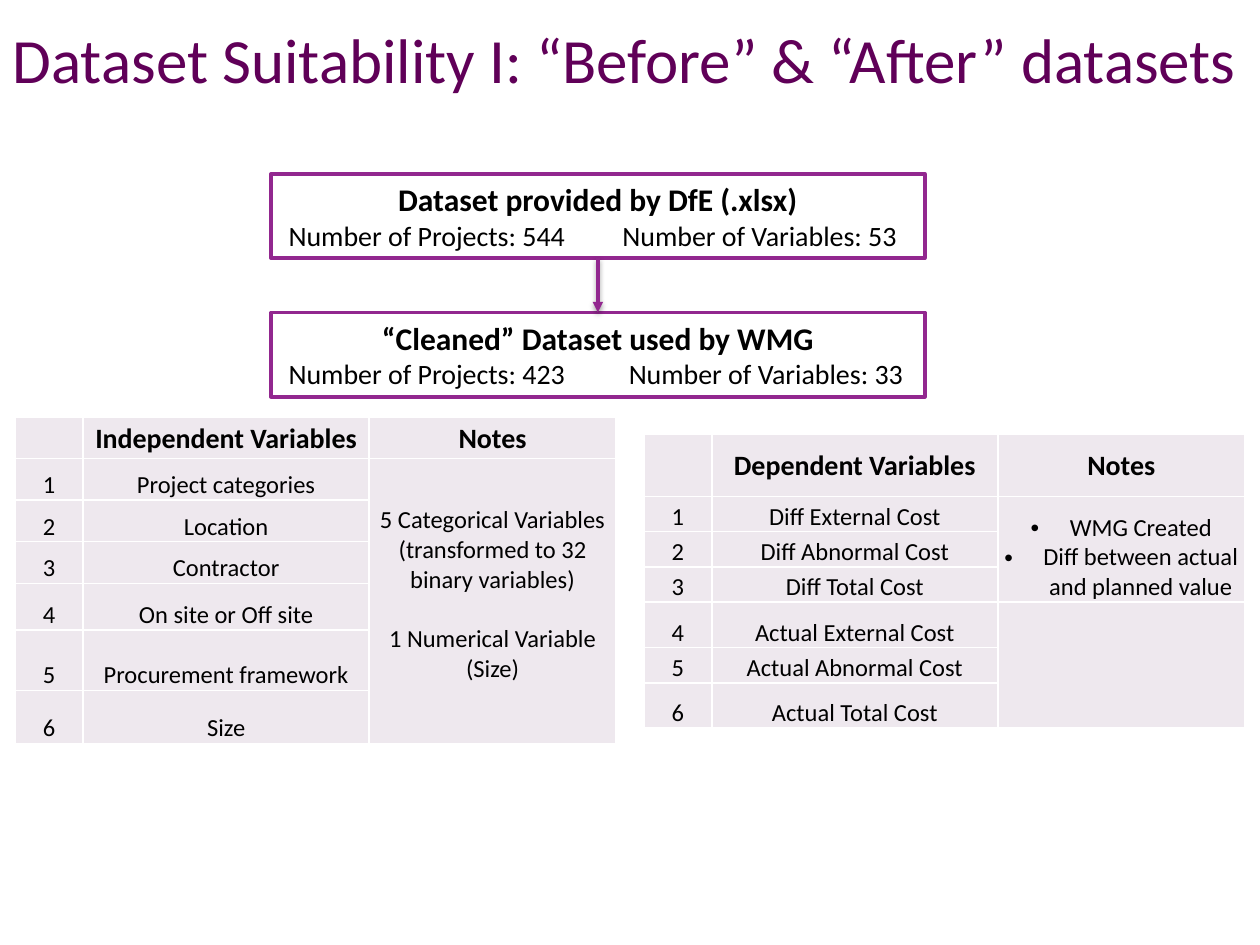
from lxml import etree
from pptx import Presentation, util as u
from pptx.dml.color import RGBColor
from pptx.enum import shapes, text
from pptx.oxml import parse_xml
from pptx.oxml.ns import nsdecls, qn

FONT, BLACK, WHITE, PURPLE, PALE = "Calibri", "000000", "FFFFFF", "92278F", "EEE8EE"
TITLE = "Dataset Suitability I: “Before” & “After” datasets"
DATASETS = [
    ("Dataset provided by DfE (.xlsx)", "Number of Projects: 544", "Number of Variables: 53", 2.65),
    ("“Cleaned” Dataset used by WMG", "Number of Projects: 423", "Number of Variables: 33", 2.7),
]
BOX_LEFT, BOX_TOP, BOX_W, BOX_H, BOX_STEP = 2.15, 1.38, 5.19, 0.67, 1.1
COLUMNS = [0.54, 2.27, 1.96]
TABLES = [
    {
        "at": (0.12, 3.31),
        "rows": [0.33, 0.33, 0.33, 0.33, 0.37, 0.48, 0.42],
        "head": "Independent Variables",
        "names": ["Project categories", "Location", "Contractor", "On site or Off site",
                  "Procurement framework", "Size"],
        "notes": [
            {"span": (1, 6), "anchor": text.MSO_ANCHOR.MIDDLE, "bottom": 0.1, "bullets": False,
             "lines": [("5 Categorical Variables", 0), ("(transformed to 32 binary variables)", 0),
                       ("1 Numerical Variable", 17), ("(Size)", 0)]},
        ],
    },
    {
        "at": (5.11, 3.45),
        "rows": [0.49, 0.28, 0.28, 0.28, 0.36, 0.28, 0.36],
        "head": "Dependent Variables",
        "names": ["Diff External Cost", "Diff Abnormal Cost", "Diff Total Cost",
                  "Actual External Cost", "Actual Abnormal Cost", "Actual Total Cost"],
        "notes": [
            {"span": (1, 3), "anchor": text.MSO_ANCHOR.BOTTOM, "bottom": 0, "bullets": True,
             "lines": [("WMG Created", 0), ("Diff between actual and planned value", 0)]},
            {"span": (4, 6), "anchor": text.MSO_ANCHOR.BOTTOM, "bottom": 0, "bullets": False,
             "lines": []},
        ],
    },
]


def rgb(value):
    return RGBColor.from_string(value)


def add_run(p, words, size, bold=False, color=BLACK):
    r = p.add_run()
    r.text = words
    r.font.name, r.font.size, r.font.bold = FONT, u.Pt(size), bold
    r.font.color.rgb = rgb(color)


def add_title(s):
    sp = s.shapes.title
    sp.left, sp.top, sp.width, sp.height = map(u.Inches, (0, 0.11, 10.66, 0.71))
    tf = sp.text_frame
    tf.word_wrap = True
    tf.auto_size = text.MSO_AUTO_SIZE.SHAPE_TO_FIT_TEXT
    tf.vertical_anchor = text.MSO_ANCHOR.TOP
    p = tf.paragraphs[0]
    p.alignment = text.PP_ALIGN.LEFT
    add_run(p, TITLE, 36, color="600058")


def add_dataset(s, index, heading, projects, variables, tab):
    top = BOX_TOP + index * BOX_STEP
    sp = s.shapes.add_shape(shapes.MSO_SHAPE.RECTANGLE,
                            *map(u.Inches, (BOX_LEFT, top, BOX_W, BOX_H)))
    sp.shadow.inherit = False
    sp.fill.solid()
    sp.fill.fore_color.rgb = rgb(WHITE)
    sp.line.color.rgb = rgb(PURPLE)
    sp.line.width = u.Pt(2)
    tf = sp.text_frame
    tf.word_wrap = True
    tf.margin_left = tf.margin_right = u.Inches(0.14)
    p = tf.paragraphs[0]
    p.alignment = text.PP_ALIGN.CENTER
    add_run(p, heading, 18, True)
    p = tf.add_paragraph()
    p.alignment = text.PP_ALIGN.LEFT
    tabs = etree.SubElement(p._p.get_or_add_pPr(), qn("a:tabLst"))
    etree.SubElement(tabs, qn("a:tab"), pos=str(u.Inches(tab)), algn="l")
    add_run(p, projects + "\t", 16)
    add_run(p, variables, 16)
    return sp


def join(s, upper, lower):
    line = s.shapes.add_connector(shapes.MSO_CONNECTOR.STRAIGHT, 0, 0, 0, 0)
    line.begin_connect(upper, 2)
    line.end_connect(lower, 0)
    line.line.color.rgb = rgb(PURPLE)
    line.line.width = u.Pt(2)
    etree.SubElement(line.line._get_or_add_ln(), qn("a:tailEnd"), type="triangle")
    line._element.spPr.append(parse_xml(
        f'<a:effectLst {nsdecls("a")}><a:outerShdw blurRad="{u.Pt(3.1)}" dist="{u.Pt(1.6)}" '
        f'dir="5400000" rotWithShape="0"><a:srgbClr val="{BLACK}"><a:alpha val="38000"/>'
        '</a:srgbClr></a:outerShdw></a:effectLst>'))


def style_cell(cell, header):
    edge = u.Inches(0.01 if header else 0)
    cell.margin_left = cell.margin_right = cell.margin_top = edge
    cell.margin_bottom = 0
    cell.vertical_anchor = text.MSO_ANCHOR.MIDDLE if header else text.MSO_ANCHOR.BOTTOM
    for side in "LRTB":
        cell._tc.get_or_add_tcPr().append(parse_xml(
            f'<a:ln{side} {nsdecls("a")} w="{u.Pt(1)}"><a:solidFill>'
            f'<a:srgbClr val="{WHITE}"/></a:solidFill></a:ln{side}>'))
    cell.fill.solid()
    cell.fill.fore_color.rgb = rgb(PALE)
    p = cell.text_frame.paragraphs[0]
    p.alignment = text.PP_ALIGN.CENTER
    etree.SubElement(p._p, qn("a:endParaRPr"), sz="1400")


def add_note(table, note):
    first, last = note["span"]
    cell = table.cell(first, 2)
    cell.merge(table.cell(last, 2))
    cell.vertical_anchor = note["anchor"]
    cell.margin_bottom = u.Inches(note["bottom"])
    tf = cell.text_frame
    for i, (words, before) in enumerate(note["lines"]):
        p = tf.add_paragraph() if i else tf.paragraphs[0]
        p.alignment = text.PP_ALIGN.CENTER
        p.space_before = u.Pt(before)
        if note["bullets"]:
            pPr = p._p.get_or_add_pPr()
            pPr.set("marL", str(u.Inches(0.31)))
            pPr.set("indent", str(u.Inches(-0.31)))
            etree.SubElement(pPr, qn("a:buFont"), typeface="Arial")
            etree.SubElement(pPr, qn("a:buChar"), char="•")
        add_run(p, words, 14)


def add_variables(s, data):
    heights = data["rows"]
    size = (sum(COLUMNS), sum(heights))
    table = s.shapes.add_table(len(heights), len(COLUMNS),
                               *map(u.Inches, data["at"] + size)).table
    table.horz_banding = False
    for column, width in zip(table.columns, COLUMNS):
        column.width = u.Inches(width)
    for row, height in zip(table.rows, heights):
        row.height = u.Inches(height)
    grid = [("", data["head"], "Notes")]
    grid += [(str(n), name, "") for n, name in enumerate(data["names"], 1)]
    for i, row in enumerate(grid):
        for j, words in enumerate(row):
            cell = table.cell(i, j)
            style_cell(cell, i == 0)
            if words:
                add_run(cell.text_frame.paragraphs[0], words, 14 if i else 16, i == 0)
    for note in data["notes"]:
        add_note(table, note)


def main():
    prs = Presentation()
    prs.slide_width, prs.slide_height = u.Inches(10), u.Inches(7.5)
    s = prs.slides.add_slide(prs.slide_layouts[5])
    add_title(s)
    boxes = [add_dataset(s, i, *dataset) for i, dataset in enumerate(DATASETS)]
    join(s, *boxes)
    for data in TABLES:
        add_variables(s, data)
    prs.save("out.pptx")


if __name__ == "__main__":
    main()
